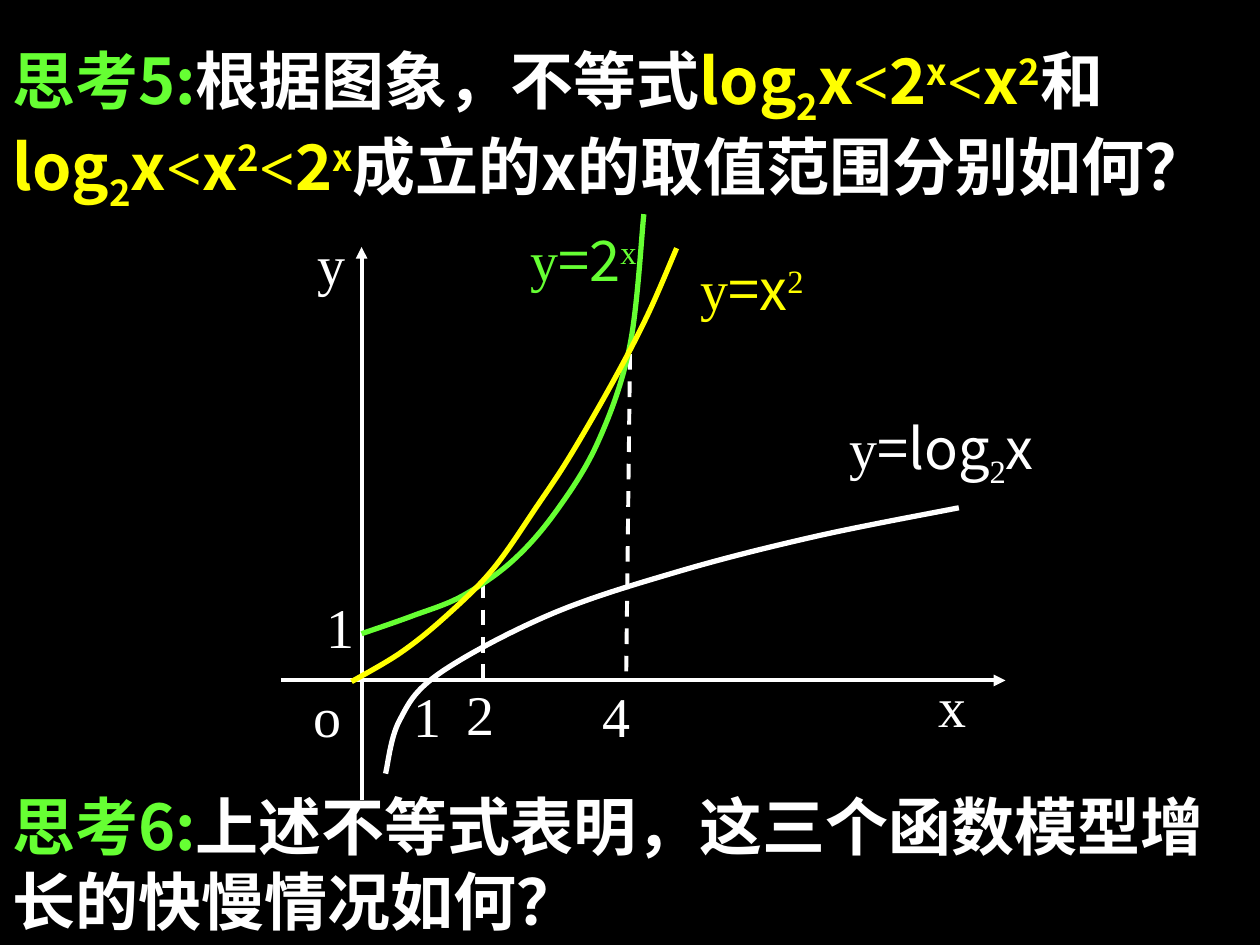
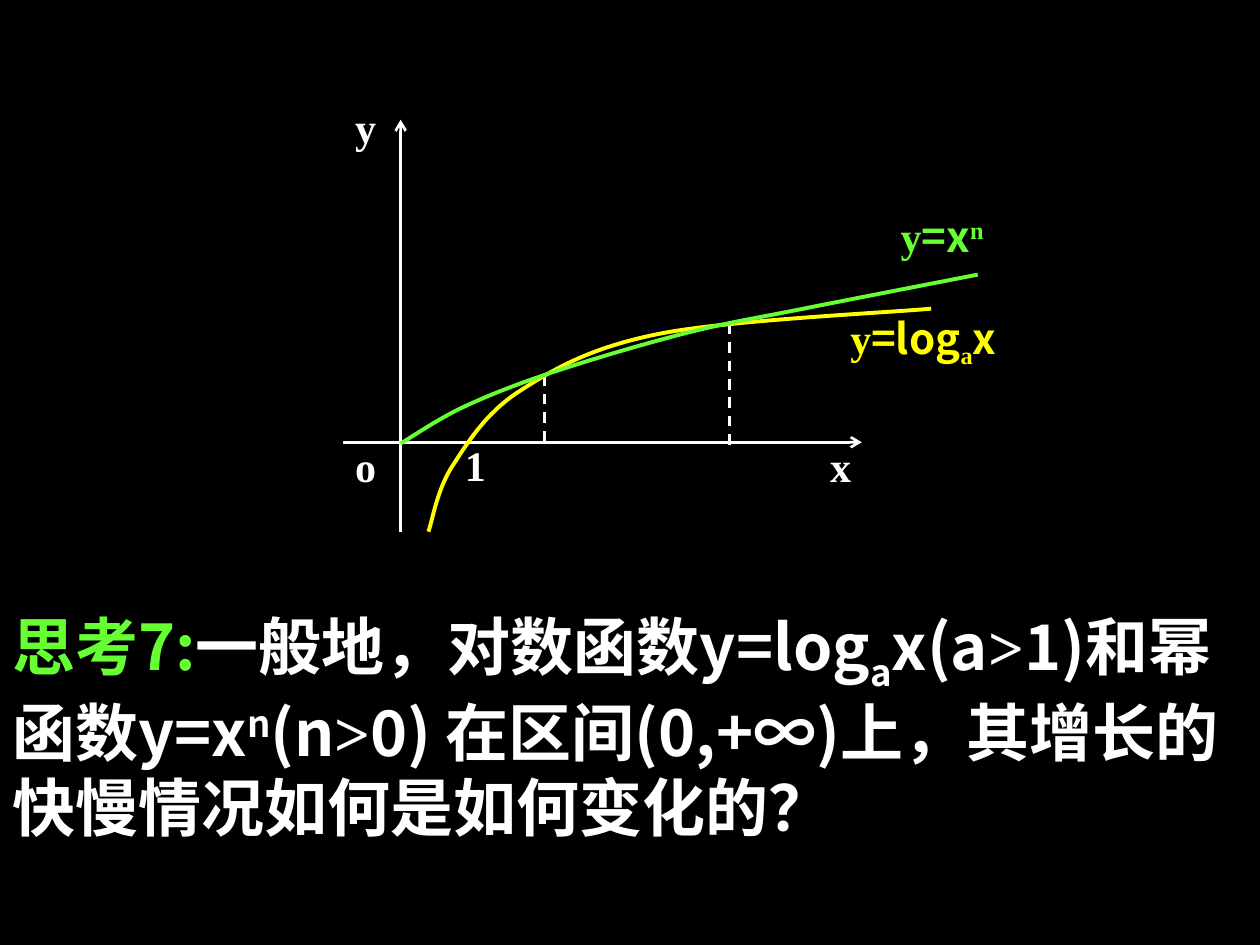
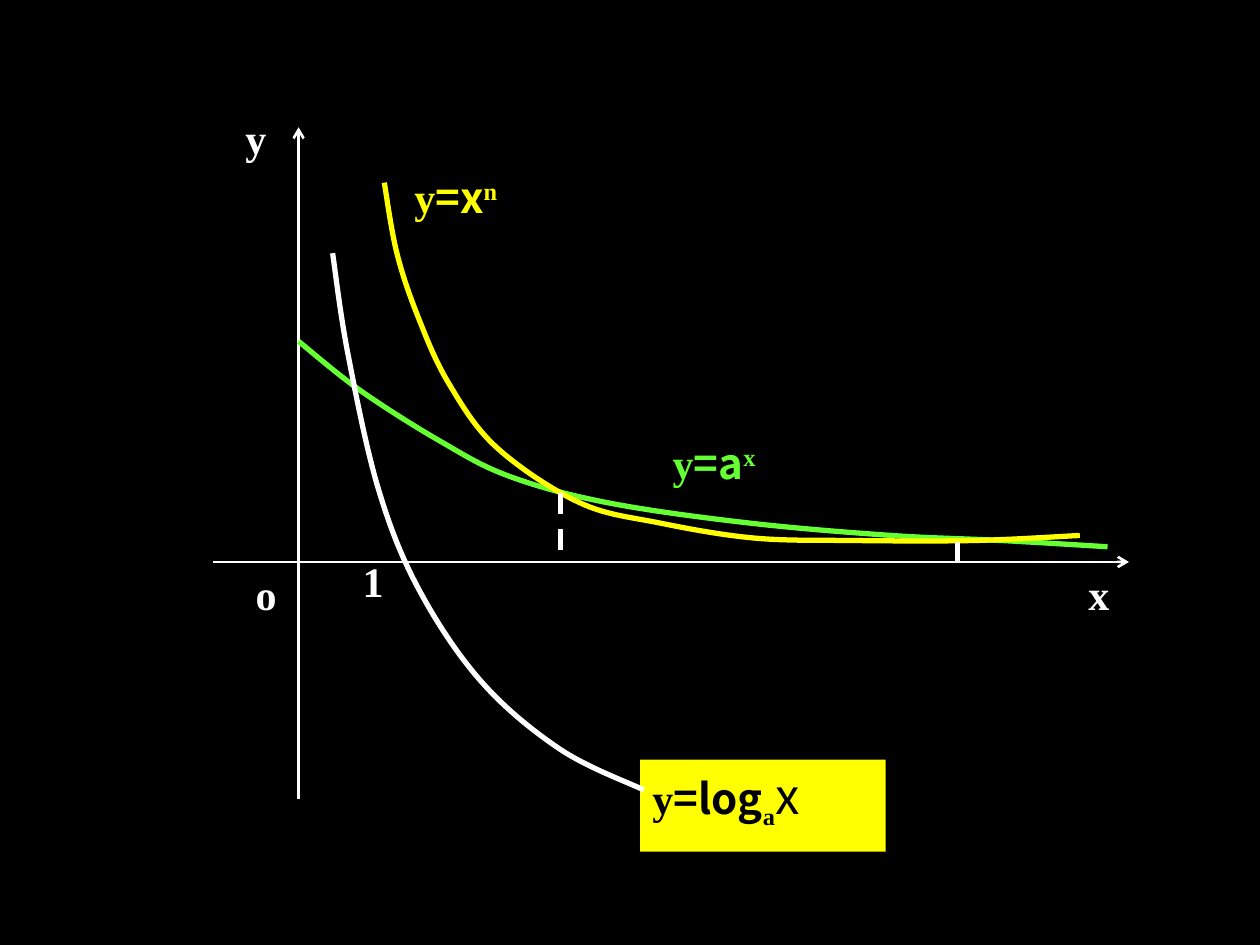
from dataclasses import dataclass
from typing import Optional, Union

from lxml.etree import SubElement
from pptx import Presentation
from pptx.dml.color import RGBColor
from pptx.enum.dml import MSO_LINE
from pptx.enum.shapes import MSO_CONNECTOR, MSO_SHAPE
from pptx.enum.text import MSO_ANCHOR, MSO_AUTO_SIZE, PP_ALIGN
from pptx.oxml.ns import qn
from pptx.util import Emu, Inches, Pt

COLS, ROWS = 10, 7.5
CELL = Inches(1)
SANS, SERIF = "Noto Sans CJK SC", "Times New Roman"
BLACK, WHITE, GREEN, YELLOW = "000000", "FFFFFF", "66FF33", "FFFF00"
SHIFTS = {"_": "-25000", "^": "30000"}

Spot = tuple[float, float]
Area = tuple[float, float, float, float]
Span = tuple[str, str]


@dataclass(frozen=True)
class Title:
    area: Area
    paras: list[list[Span]]


@dataclass(frozen=True)
class Label:
    area: Area
    text: str
    color: str = WHITE
    size: int = 24
    bold: bool = True
    fill: Optional[str] = None
    end: Optional[str] = None


@dataclass(frozen=True)
class Line:
    start: Spot
    stop: Spot
    width: float = 1.5
    dash: bool = False
    tip: Optional[str] = None


@dataclass(frozen=True)
class Curve:
    knots: list[Spot]
    color: str
    width: float = 3


Item = Union[Title, Label, Line, Curve]


def grid(*cells: float) -> list[Emu]:
    return [Emu(round(cell * CELL)) for cell in cells]


def rgb(code: str) -> RGBColor:
    return RGBColor.from_string(code)


def put(target, **values) -> None:
    for name, value in values.items():
        setattr(target, name, value)


def add_runs(para, text: str, color: str, size: int, bold: bool) -> None:
    """Split text at |; a leading ~ means serif, _ lowers and ^ raises."""
    for part in text.split("|"):
        face = SERIF if part.startswith("~") else SANS
        part = part.removeprefix("~")
        shift = SHIFTS.get(part[0])
        run = para.add_run()
        run.text = part[1:] if shift else part
        put(run.font, size=Pt(size), bold=bold, name=face)
        run.font.color.rgb = rgb(color)
        props = run.font._element
        SubElement(props, qn("a:ea")).set("typeface", face)
        if shift:
            props.set("baseline", shift)


def draw_title(slide, title: Title) -> None:
    frame = slide.shapes.add_textbox(*grid(*title.area)).text_frame
    put(frame, word_wrap=True, auto_size=MSO_AUTO_SIZE.SHAPE_TO_FIT_TEXT)
    for i, spans in enumerate(title.paras):
        para = frame.add_paragraph() if i else frame.paragraphs[0]
        para._element.get_or_add_pPr().set("hangingPunct", "0")
        for color, text in spans:
            add_runs(para, text, color, 36, True)


def draw_label(slide, label: Label) -> None:
    area = grid(*label.area)
    if label.fill:
        box = slide.shapes.add_shape(MSO_SHAPE.RECTANGLE, *area)
        box.shadow.inherit = False
        box.fill.solid()
        box.fill.fore_color.rgb = rgb(label.fill)
        box.line.fill.background()
    else:
        box = slide.shapes.add_textbox(*area)
    put(box.text_frame, word_wrap=True, vertical_anchor=MSO_ANCHOR.TOP)
    para = box.text_frame.paragraphs[0]
    para.alignment = PP_ALIGN.JUSTIFY
    add_runs(para, label.text, label.color, label.size, label.bold)
    if label.end:
        add_runs(para, label.end, label.color, 28, False)


def draw_line(slide, line: Line) -> None:
    shape = slide.shapes.add_connector(
        MSO_CONNECTOR.STRAIGHT, *grid(*line.start, *line.stop))
    SubElement(shape._element.spPr, qn("a:effectLst"))
    shape.line.color.rgb = rgb(WHITE)
    shape.line.width = Pt(line.width)
    if line.dash:
        shape.line.dash_style = MSO_LINE.DASH
    if line.tip:
        stroke = shape._element.spPr.find(qn("a:ln"))
        SubElement(stroke, qn("a:tailEnd")).set("type", line.tip)


def bend(shape) -> None:
    """Turn the straight pieces of a freeform into one smooth curve."""
    track = shape._element.find(".//" + qn("a:path"))
    knots = [(int(p.get("x")), int(p.get("y"))) for p in track.iter(qn("a:pt"))]
    ends = [knots[0], *knots, knots[-1]]
    for old in track.findall(qn("a:lnTo")):
        track.remove(old)
    for a, b, c, d in zip(ends, ends[1:], ends[2:], ends[3:]):
        piece = SubElement(track, qn("a:cubicBezTo"))
        out = [q + (r - p) / 6 for p, q, r in zip(a, b, c)]
        back = [q - (r - p) / 6 for p, q, r in zip(b, c, d)]
        for x, y in (out, back, c):
            spot = SubElement(piece, qn("a:pt"))
            spot.set("x", str(round(x)))
            spot.set("y", str(round(y)))


def draw_curve(slide, curve: Curve) -> None:
    first, *rest = [tuple(grid(*knot)) for knot in curve.knots]
    pen = slide.shapes.build_freeform(*first)
    pen.add_line_segments(rest, close=False)
    shape = pen.convert_to_shape()
    bend(shape)
    shape.shadow.inherit = False
    shape.fill.background()
    shape.line.color.rgb = rgb(curve.color)
    shape.line.width = Pt(curve.width)


DRAW = {Title: draw_title, Label: draw_label, Line: draw_line, Curve: draw_curve}


def big(area: Area, text: str, color: str = WHITE) -> Label:
    return Label(area, text, color, 32, False)


COMPARE: list[Item] = [
    Title((0, 0.28, 10, 1.47), [
        [(GREEN, "思考5:"), (WHITE, "根据图象，不等式"),
         (YELLOW, "log|_2|x|~<|2|^x|~<|x|^2"), (WHITE, "和")],
        [(YELLOW, "log|_2|x|~<|x|^2|~<|2|^x"),
         (WHITE, "成立的x的取值范围分别如何？")],
    ]),
    Title((0, 6.2, 10, 1.3), [
        [(GREEN, "思考6:"),
         (WHITE, "上述不等式表明，这三个函数模型增长的快慢情况如何？")],
    ]),
    Line((3.83, 4.62), (3.83, 5.39), 2.25, dash=True),
    Line((5, 2.81), (4.97, 5.37), 2.25, dash=True),
    Line((2.23, 5.4), (7.98, 5.4), 2.25, tip="triangle"),
    Line((2.87, 6.35), (2.87, 1.96), 2.25, tip="triangle"),
    big((7.35, 5.28, 0.72, 0.58), "~x"),
    big((2.42, 1.77, 0.39, 0.77), "~y"),
    big((2.39, 5.36, 0.47, 0.58), "~o"),
    big((2.49, 4.65, 0.39, 0.56), "~1"),
    big((3.18, 5.36, 0.71, 0.53), "~1"),
    big((3.6, 5.34, 0.69, 0.57), "~2"),
    big((4.68, 5.36, 0.96, 0.76), "~4"),
    Curve([(2.87, 5.03), (3.27, 4.89), (3.67, 4.73), (4.07, 4.45), (4.42, 4.05),
           (4.75, 3.5), (5, 2.74), (5.11, 1.7)], GREEN),
    big((4.11, 1.74, 1.1, 0.77), "~y|=2|~^x", GREEN),
    Curve([(2.79, 5.41), (3.18, 5.18), (3.54, 4.89), (3.91, 4.52), (4.26, 4.02),
           (4.53, 3.61), (4.87, 3.02), (5.14, 2.5), (5.37, 1.97)], YELLOW),
    big((5.46, 1.97, 1.18, 0.78), "~y|=x|~^2", YELLOW),
    Curve([(3.06, 6.14), (3.17, 5.72), (3.48, 5.35), (4.36, 4.88), (5.37, 4.54),
           (6.46, 4.26), (7.61, 4.03)], WHITE),
    big((6.64, 3.23, 1.91, 0.78), "~y|=log|~_2|x"),
]

GROWTH: list[Item] = [
    Title((0, 4.77, 10, 1.99), [
        [(GREEN, "思考7:"),
         (WHITE, "一般地，对数函数y=log|_a|x(a|~>|1)和幂函数y=x|^n|(n|~>|"
                 "0) 在区间(0,+∞)上，其增长的快慢情况如何是如何变化的？")],
    ]),
    Line((4.32, 2.98), (4.32, 3.55), dash=True),
    Line((5.79, 2.57), (5.79, 3.53), dash=True),
    Line((2.72, 3.51), (6.84, 3.51), tip="arrow"),
    Line((3.18, 4.22), (3.18, 0.95), tip="arrow"),
    Label((6.49, 3.45, 0.68, 0.58), "~x"),
    Label((2.72, 0.76, 0.69, 0.72), "~y"),
    Label((2.72, 3.45, 0.61, 0.58), "~o"),
    Label((3.59, 3.44, 0.69, 0.58), "~1"),
    Label((6.65, 2.43, 1.37, 0.8), "~y|=log|~_a|x", YELLOW),
    Curve([(3.4, 4.22), (3.59, 3.7), (4.13, 3.1), (5.23, 2.65), (7.39, 2.45)],
          YELLOW, 2.25),
    Label((7.05, 1.62, 0.91, 0.68), "~y|=x|~^n", GREEN),
    Curve([(3.18, 3.52), (3.68, 3.23), (4.4, 2.95), (5.46, 2.64), (6.38, 2.45),
           (7.76, 2.18)], GREEN, 2.25),
]

DECAY: list[Item] = [
    Line((1.69, 4.46), (8.96, 4.46), tip="arrow"),
    Line((2.37, 6.34), (2.37, 1.01), tip="arrow"),
    Label((8.54, 4.46, 0.87, 0.73), "~x"),
    Label((1.85, 0.84, 0.87, 0.73), "~y"),
    Label((1.93, 4.46, 0.78, 0.73), "~o"),
    Label((2.78, 4.36, 0.87, 0.73), "~1"),
    Label((5.24, 3.42, 1.45, 0.73), "~y|=a|~^x", GREEN),
    Curve([(2.37, 2.71), (2.86, 3.1), (3.49, 3.5), (4.04, 3.78), (4.82, 3.99),
           (5.93, 4.15), (7.07, 4.25), (7.94, 4.29), (8.79, 4.34)], GREEN),
    Label((3.19, 1.31, 1.35, 0.73), "~y|=x|~^n", YELLOW),
    Curve([(3.05, 1.45), (3.15, 2.01), (3.32, 2.52), (3.56, 3.04), (3.94, 3.55),
           (4.6, 3.99), (5.23, 4.15), (5.98, 4.27), (6.76, 4.29), (7.73, 4.29),
           (8.57, 4.25)], YELLOW),
    Label((5.08, 6.03, 1.95, 0.73), "~y|=log|~_a", BLACK, fill=YELLOW, end="x"),
    Curve([(2.64, 2.01), (2.76, 2.8), (3, 3.87), (3.32, 4.67), (3.82, 5.41),
           (4.45, 5.95), (5.11, 6.27)], WHITE),
    Line((4.45, 3.91), (4.45, 4.46), 3, dash=True),
    Line((7.6, 4.3), (7.6, 4.46), 3),
]


def main() -> None:
    deck = Presentation()
    deck.slide_width, deck.slide_height = grid(COLS, ROWS)
    for items in (COMPARE, GROWTH, DECAY):
        slide = deck.slides.add_slide(deck.slide_layouts[6])
        slide.background.fill.solid()
        slide.background.fill.fore_color.rgb = rgb(BLACK)
        for item in items:
            DRAW[type(item)](slide, item)
    deck.save("out.pptx")


if __name__ == "__main__":
    main()
